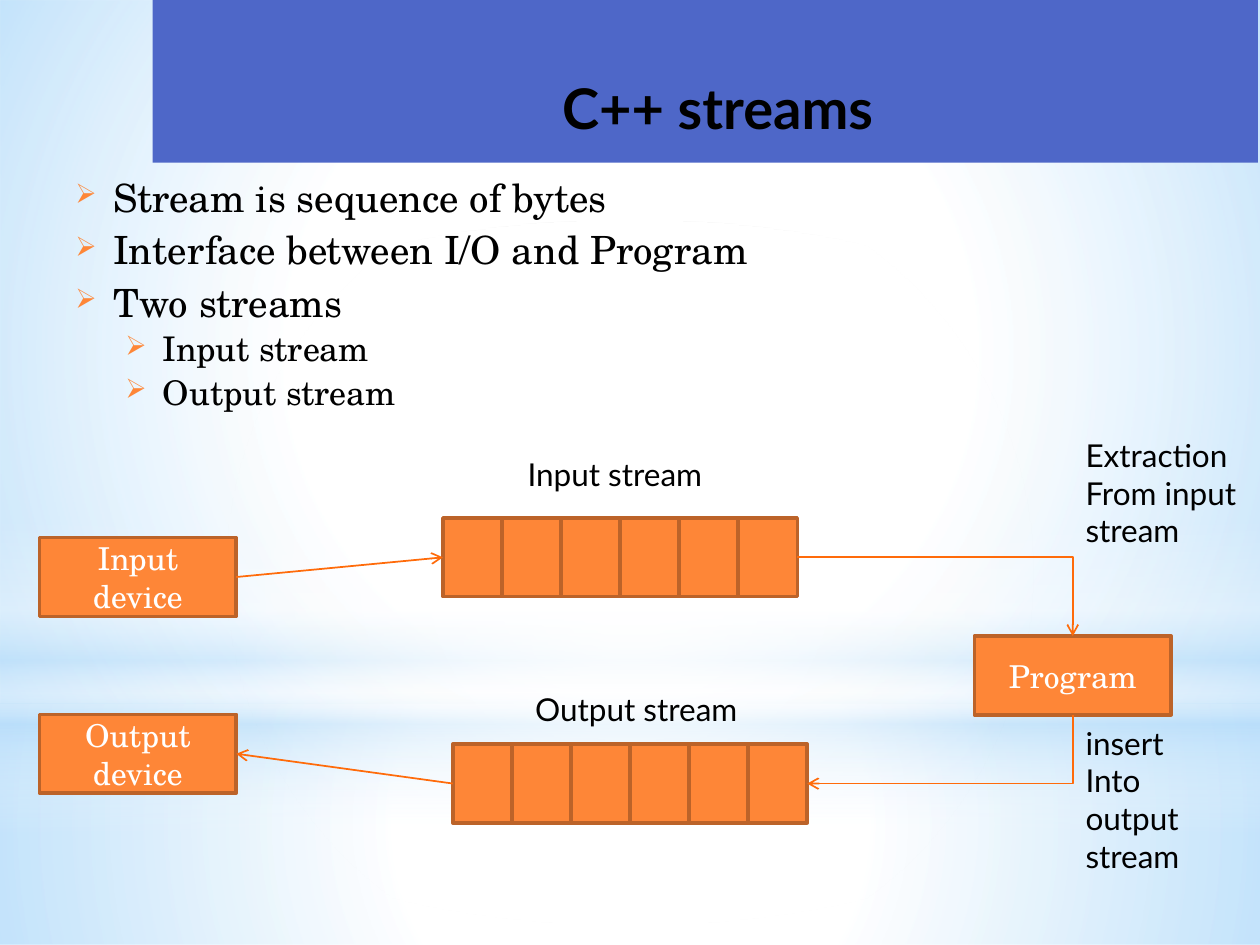
from dataclasses import dataclass

from lxml.etree import SubElement
from pptx import Presentation
from pptx.dml.color import RGBColor
from pptx.enum.shapes import MSO_CONNECTOR, MSO_SHAPE
from pptx.enum.text import MSO_ANCHOR, MSO_AUTO_SIZE, PP_ALIGN
from pptx.oxml.ns import qn
from pptx.util import Pt


@dataclass(frozen=True)
class Theme:
    """Colours, fonts and type sizes of the slide."""
    white: str = "FFFFFF"
    sky: str = "B4DCFA"
    banner: str = "4E67C8"
    box: str = "FE8637"
    edge: str = "BC6329"
    arrow: str = "FF6B0A"
    ink: str = "000000"
    sans: str = "Lato"
    serif: str = "TeX Gyre Schola"
    title: float = 32
    bullet: float = 22.2
    sub_bullet: float = 19.4
    label: float = 18


T = Theme()
BOX_W, BOX_H, CELL_W, CELLS = 112.5, 45, 33.75, 6


def rgb(color):
    """Turn a hex string into a colour."""
    return RGBColor.from_string(color)


def add_run(p, text, size, font, color, bold=False):
    """Append one formatted run to a paragraph."""
    r = p.add_run()
    r.text = text
    r.font.size, r.font.name, r.font.bold = Pt(size), font, bold
    r.font.color.rgb = rgb(color)


def add_glow(s, kind, box, stops, angle=None):
    """Add a borderless backdrop with a linear or centred gradient."""
    sp = s.shapes.add_shape(kind, *map(Pt, box))
    sp.shadow.inherit = False
    sp.line.fill.background()
    sp.fill.gradient()
    grad = sp.element.spPr.find(qn("a:gradFill"))
    for child in list(grad):
        grad.remove(child)
    stop_list = SubElement(grad, qn("a:gsLst"))
    for pos, color, alpha in stops:
        gs = SubElement(stop_list, qn("a:gs"), pos=str(pos * 1000))
        clr = SubElement(gs, qn("a:srgbClr"), val=color)
        SubElement(clr, qn("a:alpha"), val=str(alpha * 1000))
    if angle is None:
        path = SubElement(grad, qn("a:path"))
        path.set("path", "circle")
        SubElement(path, qn("a:fillToRect"), l="50000", t="50000", r="50000", b="50000")
    else:
        SubElement(grad, qn("a:lin"), ang=str(angle * 60000), scaled="0")


def add_backdrop(s):
    """Lay the pale blue glows behind everything."""
    rect, w, sky = MSO_SHAPE.RECTANGLE, T.white, T.sky
    add_glow(s, rect, (0, 402, 720, 138), [(0, w, 91), (37, w, 76), (100, sky, 79)])
    add_glow(s, rect, (0, 0, 720, 402), [(0, w, 89), (48, w, 62), (100, sky, 79)])
    add_glow(s, rect, (0, 296.5, 720, 180),
             [(0, w, 0), (29, w, 30), (45, sky, 40), (55, w, 26), (65, sky, 60), (100, w, 0)], 90)
    add_glow(s, MSO_SHAPE.OVAL, (0, 126, 720, 402), [(0, w, 100), (56, w, 0)])


def set_title(s, text):
    """Place the title banner above the backdrop and fill it in."""
    sp = s.shapes.title
    sp.element.getparent().append(sp.element)
    sp.left, sp.top, sp.width, sp.height = map(Pt, (87.25, 0, 631.5, 93))
    sp.fill.solid()
    sp.fill.fore_color.rgb = rgb(T.banner)
    tf = sp.text_frame
    tf.auto_size, tf.vertical_anchor = MSO_AUTO_SIZE.NONE, MSO_ANCHOR.TOP
    tf.margin_top = Pt(42)
    p = tf.paragraphs[0]
    p.alignment = PP_ALIGN.CENTER
    p._p.get_or_add_pPr().set("marL", str(int(Pt(14.4))))
    add_run(p, text, T.title, T.sans, T.ink, True)


def add_bullets(s, box, items):
    """Add a two-level list with arrow bullets."""
    tf = s.shapes.add_textbox(*map(Pt, box)).text_frame
    tf.word_wrap = True
    for i, (level, text) in enumerate(items):
        p = tf.add_paragraph() if i else tf.paragraphs[0]
        p.level, p.line_spacing = level, 0.9
        p.space_before = Pt((6, 4)[level])
        pPr = p._p.get_or_add_pPr()
        pPr.set("marL", str(int(Pt((21.5, 50)[level]))))
        pPr.set("indent", str(int(Pt(-21.5))))
        SubElement(SubElement(pPr, qn("a:buClr")), qn("a:srgbClr"), val=T.box)
        SubElement(pPr, qn("a:buSzPct"), val=("70000", "80000")[level])
        SubElement(pPr, qn("a:buChar"), char="➢")
        add_run(p, text, (T.bullet, T.sub_bullet)[level], T.serif, T.ink)


def add_box(s, x, y, w=BOX_W, text=None):
    """Add an orange box with an optional centred caption."""
    sp = s.shapes.add_shape(MSO_SHAPE.RECTANGLE, Pt(x), Pt(y), Pt(w), Pt(BOX_H))
    sp.shadow.inherit = False
    sp.fill.solid()
    sp.fill.fore_color.rgb = rgb(T.box)
    sp.line.color.rgb, sp.line.width = rgb(T.edge), Pt(2)
    if text:
        tf = sp.text_frame
        tf.word_wrap, tf.vertical_anchor = True, MSO_ANCHOR.MIDDLE
        p = tf.paragraphs[0]
        p.alignment = PP_ALIGN.CENTER
        add_run(p, text, T.label, T.serif, T.white)
    return sp


def add_buffer(s, x, y):
    """Add a row of cells and return its first and last cell."""
    cells = [add_box(s, x + i * CELL_W, y, CELL_W) for i in range(CELLS)]
    return cells[0], cells[-1]


def add_arrow(s, start, start_side, end, end_side, kind=MSO_CONNECTOR.STRAIGHT):
    """Join two boxes with an arrow."""
    c = s.shapes.add_connector(kind, 0, 0, 0, 0)
    c.begin_connect(start, start_side)
    c.end_connect(end, end_side)
    c.line.color.rgb, c.line.width = rgb(T.arrow), Pt(1)
    SubElement(c.line._get_or_add_ln(), qn("a:tailEnd"), type="arrow")
    SubElement(c.element.spPr, qn("a:effectLst"))
    return c


def add_elbow(s, start, start_side, end, end_side):
    """Join two boxes with a one-bend arrow, turned when it leaves downwards."""
    c = add_arrow(s, start, start_side, end, end_side, MSO_CONNECTOR.ELBOW)
    spPr = c.element.spPr
    spPr.find(qn("a:prstGeom")).set("prst", "bentConnector2")
    if start_side == 2:
        x, y, w, h = c.left, c.top, c.width, c.height
        c.left, c.top = x + (w - h) // 2, y + (h - w) // 2
        c.width, c.height = h, w
        xfrm = spPr.find(qn("a:xfrm"))
        xfrm.attrib.pop("flipH", None)
        xfrm.set("rot", str(90 * 60000))


def add_label(s, box, lines, align=PP_ALIGN.LEFT):
    """Add a plain label, one paragraph a line."""
    tf = s.shapes.add_textbox(*map(Pt, box)).text_frame
    tf.word_wrap = True
    for i, line in enumerate(lines):
        p = tf.add_paragraph() if i else tf.paragraphs[0]
        p.alignment = align
        add_run(p, line, T.label, T.sans, T.ink)


def main():
    """Build and save the slide."""
    prs = Presentation()
    prs.slide_width, prs.slide_height = Pt(720), Pt(540)
    s = prs.slides.add_slide(prs.slide_layouts[5])
    s.background.fill.solid()
    s.background.fill.fore_color.rgb = rgb(T.white)
    add_backdrop(s)
    set_title(s, "C++ streams")
    add_bullets(s, (36, 98.6, 650, 146), [
        (0, "Stream is sequence of bytes"), (0, "Interface between I/O and Program"),
        (0, "Two streams"), (1, "Input stream"), (1, "Output stream")])

    source = add_box(s, 22.5, 307.25, text="Input device")
    target = add_box(s, 22.5, 408.25, text="Output device")
    program = add_box(s, 556.75, 363.5, text="Program")
    in_first, in_last = add_buffer(s, 253.13, 296)
    out_first, out_last = add_buffer(s, 258.75, 425.25)

    add_arrow(s, source, 3, in_first, 1)
    add_arrow(s, out_first, 1, target, 3)
    add_elbow(s, in_last, 3, program, 0)
    add_elbow(s, program, 2, out_last, 3)

    add_label(s, (613.25, 245.5, 106.75, 94.5), ["Extraction", "From input", "stream"])
    add_label(s, (613.25, 410, 106.75, 94.5), ["insert", "Into", "output", "stream"])
    add_label(s, (258.5, 256.5, 185.75, 29), ["Input stream"], PP_ALIGN.CENTER)
    add_label(s, (270.75, 390.5, 185.75, 29), ["Output stream"], PP_ALIGN.CENTER)
    prs.save("out.pptx")


if __name__ == "__main__":
    main()
